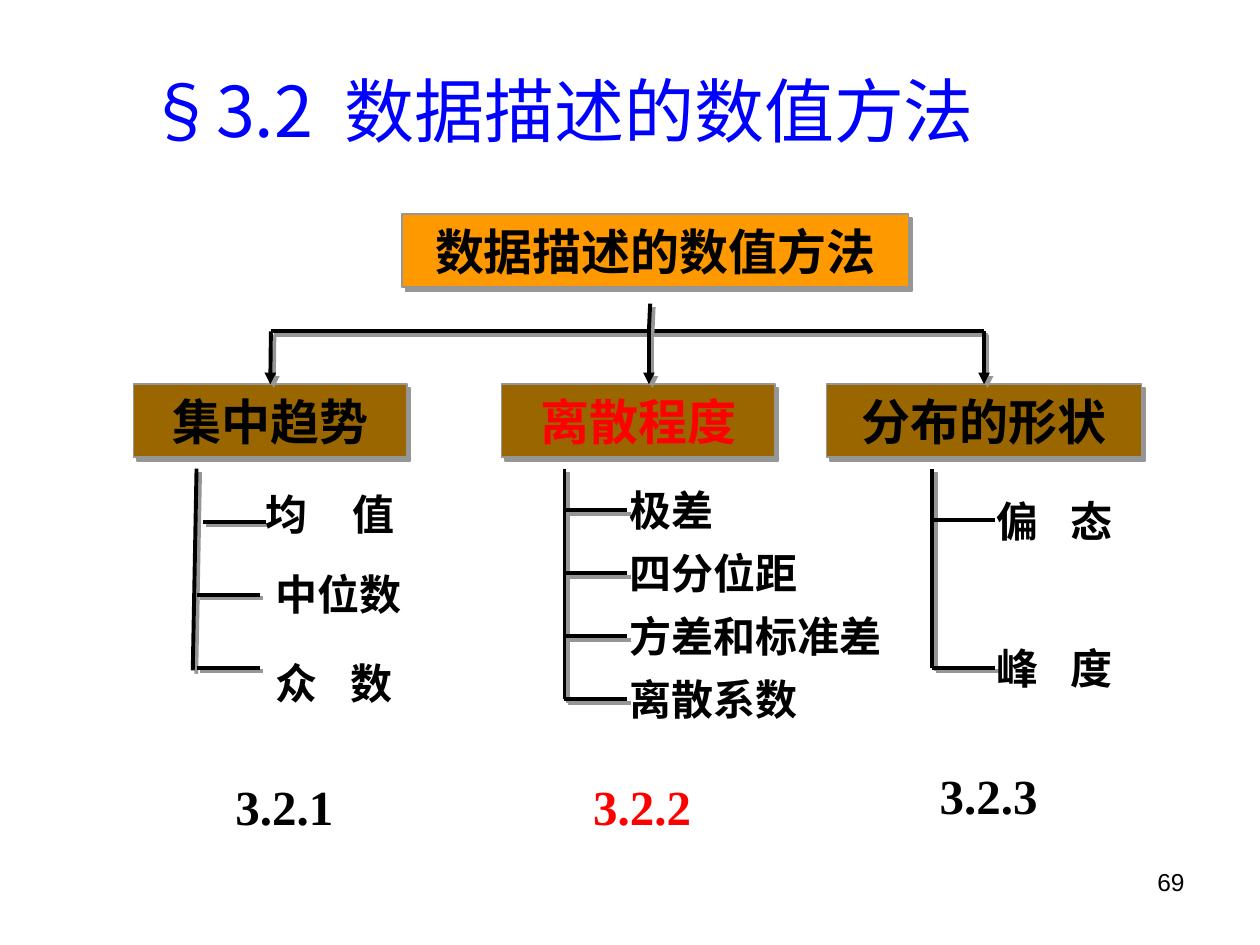
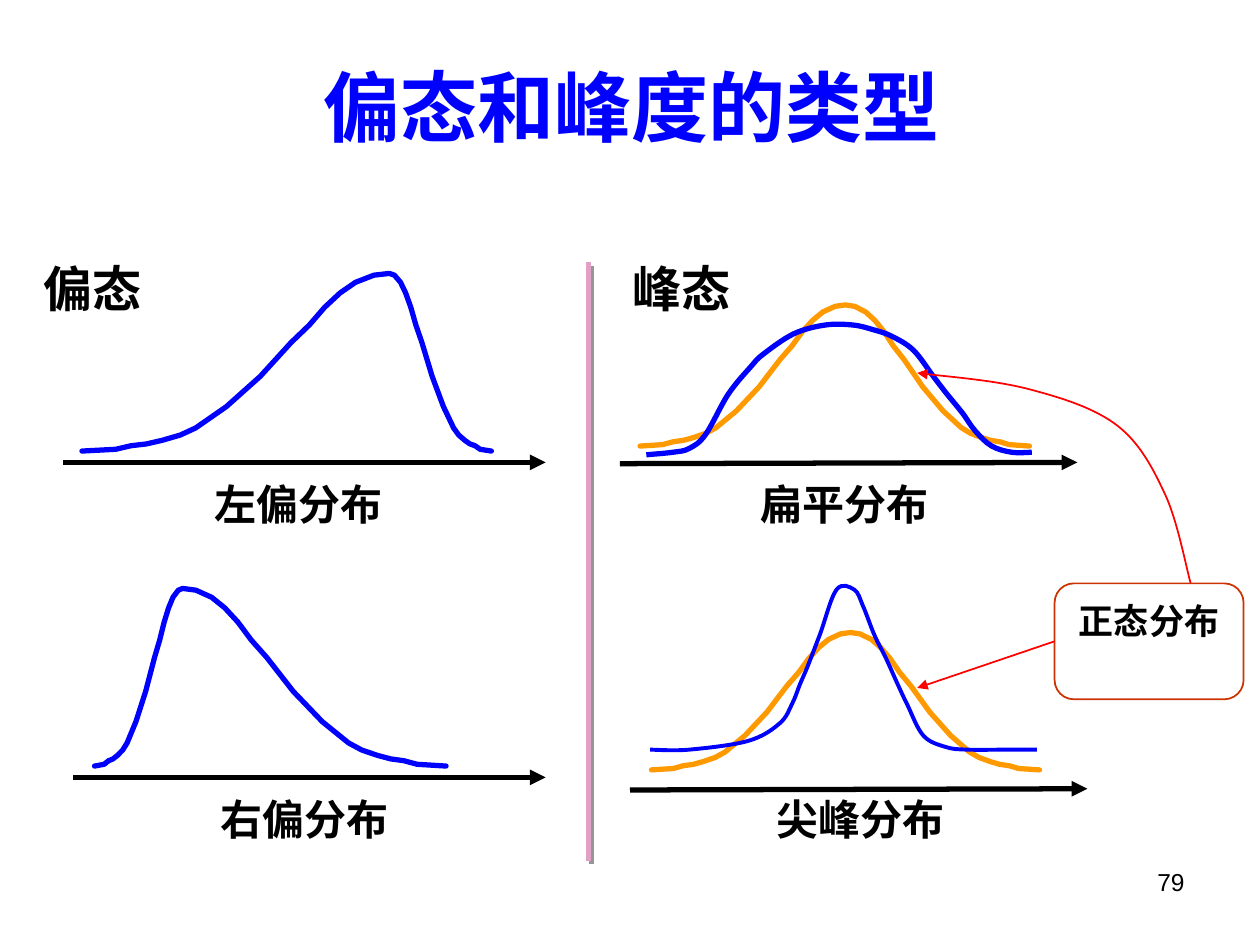
from lxml import etree
from pptx import Presentation
from pptx.dml.color import RGBColor
from pptx.enum.shapes import MSO_CONNECTOR, MSO_SHAPE
from pptx.enum.text import MSO_ANCHOR, PP_ALIGN
from pptx.oxml.ns import qn
from pptx.util import Emu, Pt

PX = 9144
STRAIGHT = MSO_CONNECTOR.STRAIGHT
RECTANGLE = MSO_SHAPE.RECTANGLE
ROUNDED = MSO_SHAPE.FLOWCHART_ALTERNATE_PROCESS
LEFT, CENTER, RIGHT = PP_ALIGN.LEFT, PP_ALIGN.CENTER, PP_ALIGN.RIGHT
TOP, MIDDLE = MSO_ANCHOR.TOP, MSO_ANCHOR.MIDDLE

BLACK = RGBColor(0x00, 0x00, 0x00)
BLUE = RGBColor(0x00, 0x00, 0xFF)
RED = RGBColor(0xFF, 0x00, 0x00)
ORANGE = RGBColor(0xFF, 0x99, 0x00)
BROWN = RGBColor(0x99, 0x66, 0x00)
GRAY = RGBColor(0x96, 0x96, 0x96)
PINK = RGBColor(0xE1, 0xA1, 0xC6)
RUST = RGBColor(0xCC, 0x33, 0x00)

SANS, CJK, SERIF = "Arial", "Noto Sans CJK SC", "Times New Roman"

LIMB = [(0, 0), (0.11, 0.01), (0.16, 0.03), (0.21, 0.04), (0.26, 0.06),
        (0.32, 0.09), (0.37, 0.13), (0.47, 0.25), (0.58, 0.42), (0.68, 0.61),
        (0.74, 0.71), (0.79, 0.81), (0.84, 0.89), (0.89, 0.95),
        (0.95, 0.99), (1, 1)]

FLAT_CURVE = [(513, 361), (534, 359), (547, 356), (560, 345), (578, 313),
              (596, 291), (606, 281), (630, 265), (655, 258), (677, 258),
              (694, 262), (708, 267), (725, 278), (741, 299), (751, 312),
              (764, 328), (774, 342), (787, 354), (803, 359), (819, 359)]
PEAKED_CURVE = [(516, 595), (547, 595), (594, 588), (619, 574), (629, 558),
                (635, 543), (641, 529), (651, 503), (664, 468), (678, 468),
                (685, 481), (694, 504), (703, 522), (712, 542), (720, 559),
                (733, 584), (751, 593), (768, 595), (799, 595), (823, 595)]
CALLOUT_CURVE = [(945, 463), (925, 393), (887, 338), (817, 309), (728, 296)]


class Deck:
    def __init__(self):
        self.prs = Presentation()
        self.prs.slide_width, self.prs.slide_height = Emu(1000 * PX), Emu(750 * PX)
        self.slide = None

    def new_slide(self, number):
        self.slide = self.prs.slides.add_slide(self.prs.slide_layouts[6])
        self.text(717, 683, 233, 52, str(number), 14, bold=False, align=RIGHT)

    def title(self, left, top, width, height, words, size, **style):
        self.text(left, top, width, height, words, size, color=BLUE,
                  align=CENTER, anchor=MIDDLE, **style)

    def fill_words(self, shape, words, size, color=BLACK, font=SANS, bold=True,
                   align=LEFT, anchor=TOP, wrap=True, gap=0):
        frame = shape.text_frame
        frame.word_wrap = wrap
        frame.vertical_anchor = anchor
        paragraph = frame.paragraphs[0]
        paragraph.alignment = align
        for part in words.partition(" "):
            if part:
                run = paragraph.add_run()
                run.text = part
                run.font.size = Pt(size)
                run.font.bold = bold
                run.font.name = font
                run.font.color.rgb = color
                properties = run.font._element
                etree.SubElement(properties, qn("a:ea")).set("typeface", CJK)
                if part == " ":
                    properties.set("spc", str(gap * 100))

    def text(self, left, top, width, height, words, size, **style):
        box = self.slide.shapes.add_textbox(
            left * PX, top * PX, width * PX, height * PX)
        self.fill_words(box, words, size, **style)

    def box(self, kind, left, top, width, height, fill, border):
        shape = self.slide.shapes.add_shape(
            kind, left * PX, top * PX, width * PX, height * PX)
        shape.shadow.inherit = False
        if fill is None:
            shape.fill.background()
        else:
            shape.fill.solid()
            shape.fill.fore_color.rgb = fill
        shape.line.color.rgb = border
        shape.line.width = Pt(1)
        return shape

    def heading(self, left, top, width, words, fill, color=BLACK):
        shape = self.box(RECTANGLE, left, top, width, 58, fill, GRAY)
        self.cast_shadow(shape._element.spPr.find(qn("a:effectLst")))
        self.fill_words(shape, words, 28, color=color, align=CENTER, anchor=MIDDLE)
        return shape

    def cast_shadow(self, effects):
        shadow = etree.SubElement(effects, qn("a:outerShdw"), dist="35921",
                                  dir="2700000", algn="ctr", rotWithShape="0")
        etree.SubElement(shadow, qn("a:srgbClr"), val=str(GRAY))

    def stroke(self, line, color, weight, arrow):
        line.color.rgb = color
        line.width = Pt(weight)
        etree.SubElement(line._ln, qn("a:round"))
        if arrow:
            etree.SubElement(line._ln, qn("a:tailEnd"), type="triangle")

    def line(self, x1, y1, x2, y2, color=BLACK, weight=2.25, arrow=False,
             shadow=True):
        connector = self.slide.shapes.add_connector(
            STRAIGHT, x1 * PX, y1 * PX, x2 * PX, y2 * PX)
        self.stroke(connector.line, color, weight, arrow)
        effects = etree.SubElement(connector._element.spPr, qn("a:effectLst"))
        if shadow:
            self.cast_shadow(effects)
        return connector

    def outline(self, points, color, weight, arrow=False):
        spots = [(round(x * PX), round(y * PX)) for x, y in points]
        builder = self.slide.shapes.build_freeform(*spots[0])
        builder.add_line_segments(spots[1:], close=False)
        shape = builder.convert_to_shape()
        shape.shadow.inherit = False
        shape.fill.background()
        self.stroke(shape.line, color, weight, arrow)
        return shape

    def curve(self, points, color, weight, arrow=False):
        shape = self.outline(points, color, weight, arrow)
        segments = list(shape._element.iter(qn("a:lnTo")))
        left, top = shape.left, shape.top
        spots = [(x * PX - left, y * PX - top) for x, y in points]
        ends = [spots[0]] + spots + [spots[-1]]
        for i, segment in enumerate(segments):
            before, start, end, after = ends[i:i + 4]
            handles = [
                [s + (e - b) / 6 for b, s, e in zip(before, start, end)],
                [e - (a - s) / 6 for s, e, a in zip(start, end, after)],
                end]
            bend = etree.Element(qn("a:cubicBezTo"))
            for x, y in handles:
                etree.SubElement(bend, qn("a:pt"), x=str(round(x)), y=str(round(y)))
            segment.getparent().replace(segment, bend)

    def bell(self, left, peak, right, top, base, color):
        def limb(foot):
            return [(foot + (peak - foot) * across, base - (base - top) * up)
                    for across, up in LIMB]
        points = limb(left) + limb(right)[-2::-1]
        line = self.outline(points, color, 3).line
        line._ln.set("cap", "rnd")

    def axis(self, x1, y1, x2, y2):
        self.line(x1, y1, x2, y2, weight=3, arrow=True, shadow=False)


def methods_slide(deck):
    deck.new_slide(69)
    deck.title(43, 44, 803, 85, "§3.2 数据描述的数值方法", 40,
               font=CJK, bold=False, gap=9)
    deck.heading(319, 170, 402, "数据描述的数值方法", ORANGE)
    tendency = deck.heading(106, 305, 217, "集中趋势", BROWN)
    deck.heading(398, 305, 217, "离散程度", BROWN, RED)
    form = deck.heading(656, 305, 250, "分布的形状", BROWN)

    deck.line(215, 263, 781, 263)
    deck.line(516, 241, 515, 263)
    for x, target in ((215, tendency), (515, None), (781, form)):
        arrow = deck.line(x, 263, x, 305, arrow=True)
        if target:
            arrow.end_connect(target, 0)

    for trunk in ((156, 372, 153, 532), (448, 372, 448, 555), (740, 372, 740, 530)):
        deck.line(*trunk)
    twigs = [(161, 414), (156, 472), (156, 530), (740, 530)]
    twigs += [(448, 405 + 50 * row) for row in range(4)]
    for x, y in twigs:
        deck.line(x, y, x + 50, y)
    deck.line(740, 413, 790, 413, shadow=False)

    measures = [(201, 383, "均 值", 20), (209, 446, "中位数", 0),
                (209, 517, "众 数", 13), (781, 388, "偏 态", 13),
                (781, 505, "峰 度", 13)]
    for left, top, words, gap in measures:
        deck.text(left, top, 135, 50, words, 24, gap=gap)
    for row, words in enumerate(("极差", "四分位距", "方差和标准差", "离散系数")):
        deck.text(490, 380 + 50 * row, 225, 50, words, 24)

    for left, top, section, color in ((177, 611, "3.2.1", BLACK),
                                      (461, 611, "3.2.2", RED),
                                      (736, 603, "3.2.3", BLACK)):
        deck.text(left, top, 98, 57, section, 28, color=color, font=SERIF, wrap=False)


def shapes_slide(deck):
    deck.new_slide(79)
    deck.title(114, 21, 775, 125, "偏态和峰度的类型", 44)
    for left, words in ((25, "偏态"), (492, "峰态")):
        deck.text(left, 200, 133, 56, words, 28)
    deck.line(467, 208, 467, 683, color=PINK, weight=3)

    deck.bell(65, 309, 390, 217, 358, BLUE)
    deck.bell(75, 145, 354, 467, 608, BLUE)
    deck.bell(508, 671, 817, 242, 354, ORANGE)
    deck.bell(517, 675, 825, 502, 611, ORANGE)
    deck.curve(FLAT_CURVE, BLUE, 3)
    deck.curve(PEAKED_CURVE, BLUE, 2.25)

    for ends in ((50, 367, 433, 367), (58, 617, 433, 617),
                 (492, 368, 855, 367), (500, 627, 863, 626)):
        deck.axis(*ends)
    for left, top, width, words in ((158, 375, 158, "左偏分布"),
                                    (163, 625, 158, "右偏分布"),
                                    (583, 375, 175, "扁平分布"),
                                    (583, 625, 200, "尖峰分布")):
        deck.text(left, top, width, 50, words, 24, align=CENTER)

    normal = deck.box(ROUNDED, 837, 463, 150, 92, None, RUST)
    deck.fill_words(normal, "正态分布", 20, align=CENTER)
    normal.text_frame.margin_top = 8 * PX
    pointer = deck.line(837, 509, 728, 546, color=RED, weight=1,
                        arrow=True, shadow=False)
    pointer.begin_connect(normal, 1)
    deck.curve(CALLOUT_CURVE, RED, 1, arrow=True)


def main():
    deck = Deck()
    methods_slide(deck)
    shapes_slide(deck)
    deck.prs.save("out.pptx")


if __name__ == "__main__":
    main()
